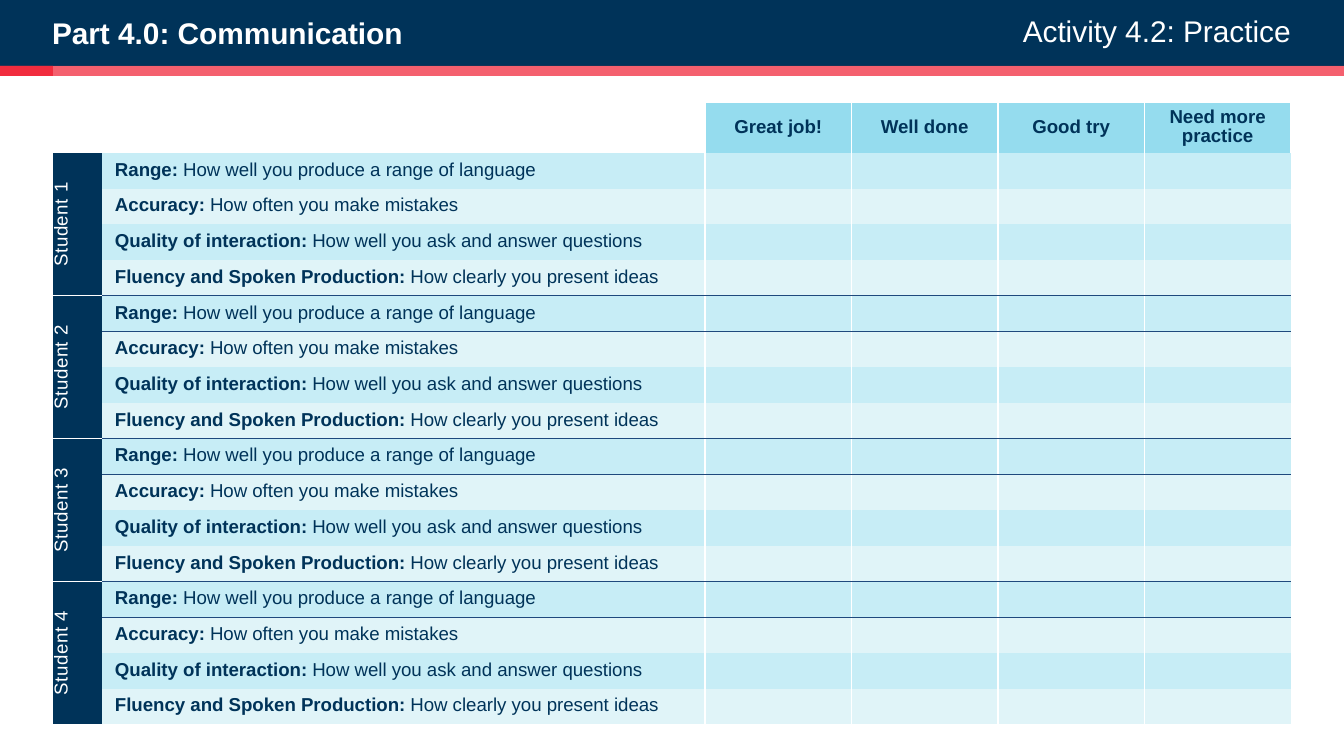
from lxml import etree
from pptx import Presentation
from pptx.dml.color import RGBColor
from pptx.enum.shapes import MSO_SHAPE
from pptx.enum.text import MSO_ANCHOR, MSO_AUTO_SIZE, PP_ALIGN
from pptx.oxml.ns import qn
from pptx.util import Emu, Pt

RECT = MSO_SHAPE.RECTANGLE
TOP, MIDDLE = MSO_ANCHOR.TOP, MSO_ANCHOR.MIDDLE
LEFT, CENTER, RIGHT = PP_ALIGN.LEFT, PP_ALIGN.CENTER, PP_ALIGN.RIGHT

# Content
TITLE = "Part 4.0: Communication"
ACTIVITY = "Activity 4.2: Practice"
GRADES = ["Great job!", "Well done", "Good try", "Need more practice"]
STUDENTS = ["Student 1", "Student 2", "Student 3", "Student 4"]
SKILLS = [
    ("Range:", "How well you produce a range of language"),
    ("Accuracy:", "How often you make mistakes"),
    ("Quality of interaction:", "How well you ask and answer questions"),
    ("Fluency and Spoken Production:", "How clearly you present ideas"),
]

THEME = {
    "font": "Arial", "head": 16, "cell": 10, "line": 0.75,
    "navy": "003359", "red": "F12C3E", "white": "FFFFFF", "rule": "1F497D",
    "grade": "95DCEE", "bands": ["C7EDF6", "E0F4F8"],
}
NO_STYLE = "{2D5ABB26-0587-4C30-8999-92F81FD0307C}"

# Layout in px
WIDE, HIGH = 1344, 756
BAR, STRIPE, EDGE = 66, 10, 53
GRID = (53, 103, 1238, 622)
NAME_W, SKILL_W, HEAD_H, PAD = 49, 603, 50, 13


def px(n):
    return Emu(round(n * 914400 / 134.4))


def rgb(name):
    return RGBColor.from_string(THEME.get(name, name))


def style(para, size, color, align=LEFT, bold=None):
    para.alignment = align
    font = para.font
    font.name, font.size = THEME["font"], Pt(size)
    font.color.rgb, font.bold = rgb(color), bold


def block(slide, x, y, w, h, color):
    shape = slide.shapes.add_shape(RECT, px(x), px(y), px(w), px(h))
    shape.shadow.inherit = False
    shape.fill.solid()
    shape.fill.fore_color.rgb = rgb(color)
    shape.line.fill.background()
    return shape


def heading(shape, box, text, align, bold):
    shape.left, shape.top, shape.width, shape.height = map(px, box)
    frame = shape.text_frame
    frame.word_wrap, frame.auto_size = True, MSO_AUTO_SIZE.NONE
    frame.vertical_anchor = TOP
    frame.margin_left = frame.margin_right = 0
    frame.margin_top = frame.margin_bottom = 0
    frame.text = text
    style(frame.paragraphs[0], THEME["head"], "white", align, bold)


def fill_cell(cell, fill, color="navy", align=LEFT, bold=None):
    cell.margin_left = cell.margin_right = px(PAD)
    cell.margin_top = cell.margin_bottom = 0
    cell.vertical_anchor = MIDDLE
    if fill:
        cell.fill.solid()
        cell.fill.fore_color.rgb = rgb(fill)
    else:
        cell.fill.background()
    para = cell.text_frame.paragraphs[0]
    para.line_spacing = Pt(10)
    style(para, THEME["cell"], color, align, bold)
    return para


def borders(cell, **sides):
    """Draw the sides named L, R, T and B in the given colours."""
    props = cell._tc.get_or_add_tcPr()
    named = [side for side in "LRTB" if side in sides]
    for spot, side in enumerate(named):
        line = etree.Element(qn("a:ln" + side), w=str(Pt(THEME["line"])))
        solid = etree.SubElement(line, qn("a:solidFill"))
        etree.SubElement(solid, qn("a:srgbClr"), val=THEME[sides[side]])
        props.insert(spot, line)


def add_grid(slide):
    steps, cols = len(SKILLS), 2 + len(GRADES)
    rows = 1 + len(STUDENTS) * steps
    frame = slide.shapes.add_table(rows, cols, *map(px, GRID))
    table = frame.table
    table.first_row = table.horz_banding = False
    frame._element.find(".//" + qn("a:tableStyleId")).text = NO_STYLE

    # Column and row sizes
    grade_w = (GRID[2] - NAME_W - SKILL_W) / len(GRADES)
    for col, width in zip(table.columns, [NAME_W, SKILL_W] + [grade_w] * len(GRADES)):
        col.width = px(width)
    row_h = (GRID[3] - HEAD_H) / (rows - 1)
    for row, height in zip(table.rows, [HEAD_H] + [row_h] * (rows - 1)):
        row.height = px(height)

    # Header row
    for c, label in enumerate(["", ""] + GRADES):
        cell = table.cell(0, c)
        para = fill_cell(cell, "grade" if label else None, align=CENTER, bold=True)
        if label:
            para.add_run().text = label
            borders(cell, L="white", R="white")

    # Skill rows, with a rule between students
    for r in range(1, rows):
        step = (r - 1) % steps
        rules = {}
        if step == 0 and r > 1:
            rules["T"] = "rule"
        if step == steps - 1 and r < rows - 1:
            rules["B"] = "rule"
        for c in range(1, cols):
            cell = table.cell(r, c)
            para = fill_cell(cell, THEME["bands"][step % 2])
            sides = {"R": "white"} if c < cols - 1 else {}
            if c > 1:
                sides["L"] = "white"
            borders(cell, **sides, **rules)
            if c == 1:
                name, text = SKILLS[step]
                run = para.add_run()
                run.text, run.font.bold = name + " ", True
                para.add_run().text = text
        white = {side: "white" for side in rules}
        side_cell = table.cell(r, 0)
        fill_cell(side_cell, "navy", "white", CENTER)
        borders(side_cell, **white)

    # Student names, each turned beside its rows
    for i, name in enumerate(STUDENTS):
        first = 1 + i * steps
        cell = table.cell(first, 0)
        cell.merge(table.cell(first + steps - 1, 0))
        cell._tc.get_or_add_tcPr().set("vert", "vert270")
        if i < len(STUDENTS) - 1 and i == 0:
            borders(cell, B="white")
        run = cell.text_frame.paragraphs[0].add_run()
        run.text = name
        run._r.get_or_add_rPr().set("spc", "30")


def main():
    deck = Presentation()
    deck.slide_width, deck.slide_height = px(WIDE), px(HIGH)
    slide = deck.slides.add_slide(deck.slide_layouts[5])

    # Top bar behind the headings
    bar = block(slide, 0, 0, WIDE, BAR, "navy")
    slide.shapes._spTree.insert(2, bar._element)
    heading(slide.shapes.title, (52, 15, 760, 36), TITLE, LEFT, True)
    note = slide.shapes.add_textbox(0, 0, 0, 0)
    heading(note, (815, 13, 476, 38), ACTIVITY, RIGHT, False)

    add_grid(slide)

    # Red stripe with a solid start
    stripe = block(slide, 0, BAR, WIDE, STRIPE, "red")
    tint = stripe._element.spPr.find(".//" + qn("a:srgbClr"))
    etree.SubElement(tint, qn("a:alpha"), val="75000")
    block(slide, 0, BAR, EDGE, STRIPE, "red")

    deck.save("out.pptx")


if __name__ == "__main__":
    main()
